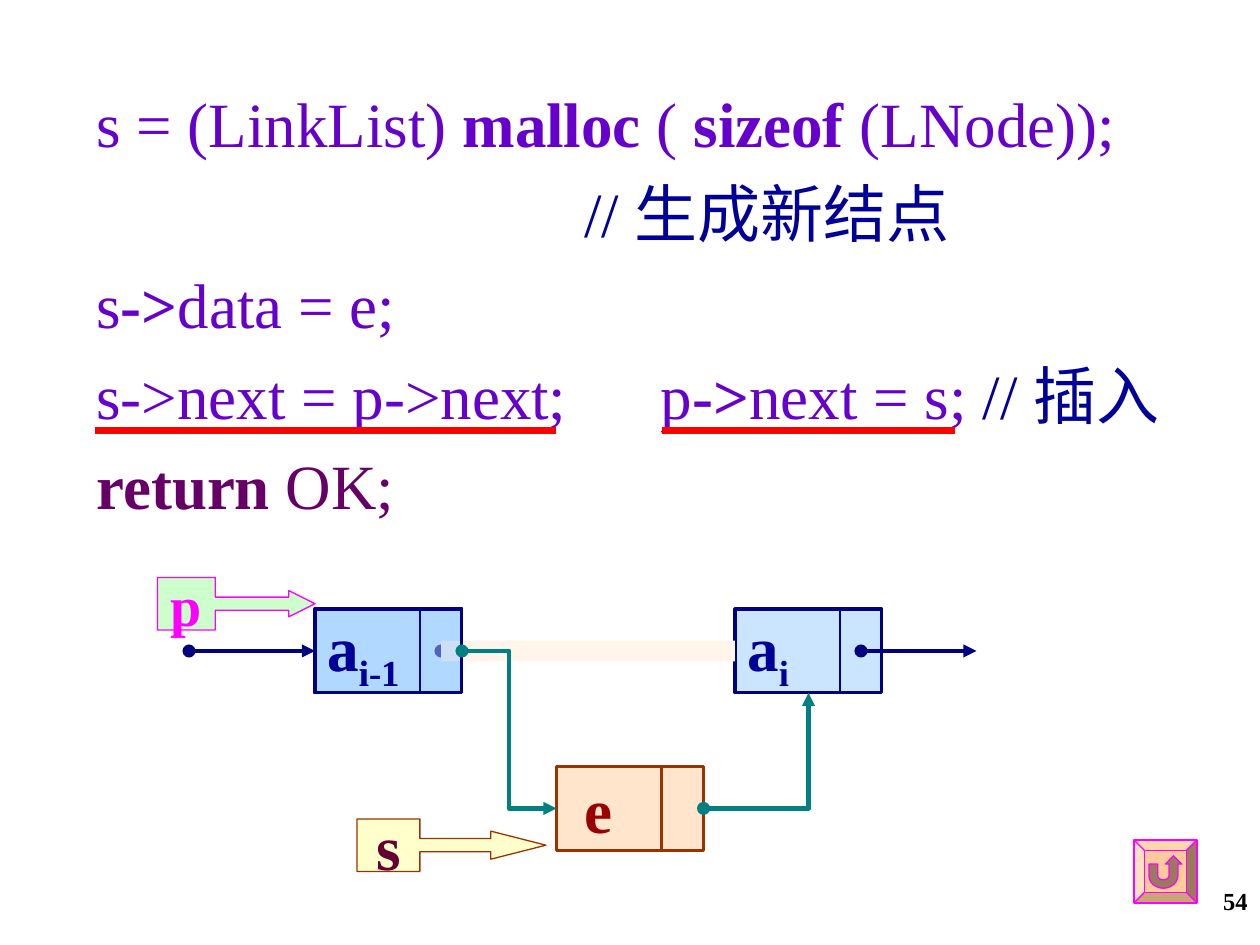
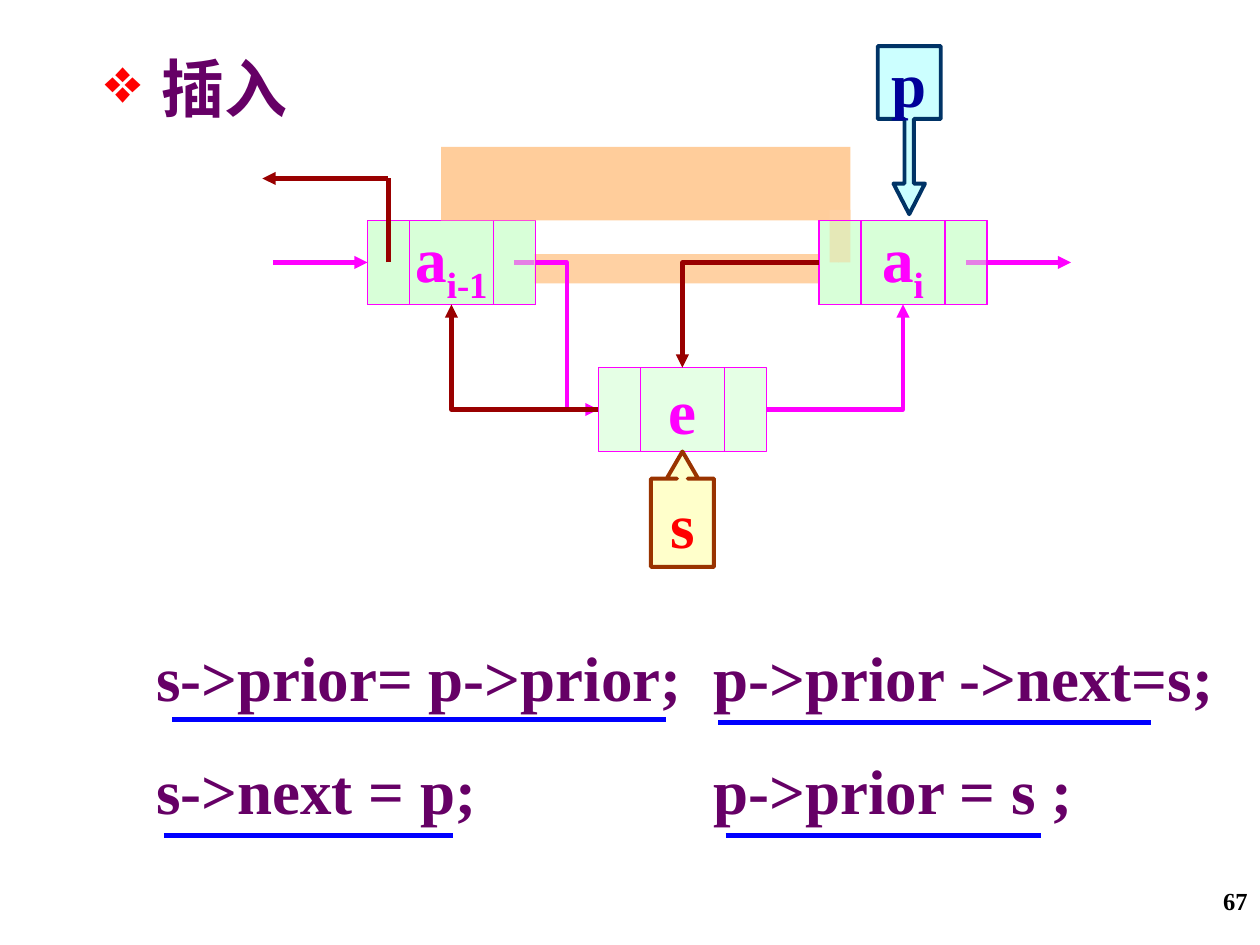
from math import cos, pi, sin

from lxml import etree
from pptx import Presentation, util as u
from pptx.dml.color import RGBColor
from pptx.enum import shapes, text
from pptx.oxml.ns import qn

FONT = "Times New Roman"
VIOLET, PLUM, NAVY, BLUE_INK = "6600CC", "660066", "000080", "000099"
MAGENTA, RUST, DARK_RED, TEAL, RED = "FF00FF", "993300", "990000", "008080", "FF0000"
PEACH, GREEN, SKY, YELLOW = "FFCC99", "CCFFCC", "99CCFF", "FFFF99"
TOP, LEFT, BOTTOM, RIGHT = range(4)
SITES = {TOP: (0.5, 0), LEFT: (0, 0.5), BOTTOM: (0.5, 1), RIGHT: (1, 0.5)}
SHAPE, WIRE = shapes.MSO_SHAPE, shapes.MSO_CONNECTOR


def g(n):
    """Length of n grid steps; the slide is 120 by 90 steps."""
    return u.Cm(n * 25.4 / 120)


def rgb(color):
    return RGBColor.from_string(color)


def sub(parent, tag, **attrs):
    return etree.SubElement(parent, qn(tag), attrs)


def end_point(end):
    """Position of an end given as (x, y) steps or as (shape, site)."""
    if isinstance(end[0], (int, float)):
        return g(end[0]), g(end[1])
    sp, site = end
    fx, fy = SITES[site]
    return u.Emu(int(sp.left + fx * sp.width)), u.Emu(int(sp.top + fy * sp.height))


class Deck:
    def __init__(self):
        self.prs = Presentation()
        self.prs.slide_width, self.prs.slide_height = g(120), g(90)

    def new_slide(self):
        self.s = self.prs.slides.add_slide(self.prs.slide_layouts[6])

    def page_number(self, number):
        p = self.text((92, 83.8, 28, 6.2), [[(number, "000000", True)]], 14)[0]
        p.alignment = text.PP_ALIGN.RIGHT

    def fill_frame(self, tf, paragraphs, size):
        """Fill a frame with paragraphs, each a list of (text, colour, bold, subscript)."""
        for i, runs in enumerate(paragraphs):
            p = tf.add_paragraph() if i else tf.paragraphs[0]
            p.alignment = text.PP_ALIGN.LEFT
            for words, color, bold, *subscript in runs:
                r = p.add_run()
                r.text = words
                r.font.name, r.font.size, r.font.bold = FONT, u.Pt(size), bold
                r.font.color.rgb = rgb(color)
                if subscript:
                    r._r.get_or_add_rPr().set("baseline", "-25000")
        return tf.paragraphs

    def text(self, box, paragraphs, size=36, wrap=True, spacing=None):
        tf = self.s.shapes.add_textbox(*map(g, box)).text_frame
        tf.word_wrap = wrap
        result = self.fill_frame(tf, paragraphs, size)
        for p in result:
            p.line_spacing = spacing
        return result

    def paint(self, sp, fill, line=None, width=0.75, alpha=None):
        sp.shadow.inherit = False
        sp.fill.solid()
        sp.fill.fore_color.rgb = rgb(fill)
        if alpha:
            color = sp._element.spPr.find(qn("a:solidFill"))[0]
            sub(color, "a:alpha", val=str(alpha * 1000))
        if line:
            sp.line.color.rgb = rgb(line)
            sp.line.width = u.Pt(width)
        else:
            sp.line.fill.background()
        return sp

    def shape(self, kind, box, fill, line=None, width=0.75, alpha=None, adj=()):
        sp = self.s.shapes.add_shape(kind, *map(g, box))
        for i, value in enumerate(adj):
            sp.adjustments[i] = value
        return self.paint(sp, fill, line, width, alpha)

    def label(self, sp, runs, size=36, centred=True, wrap=True):
        tf = sp.text_frame
        tf.word_wrap = wrap
        tf.vertical_anchor = text.MSO_ANCHOR.MIDDLE
        p = self.fill_frame(tf, [runs], size)[0]
        if centred:
            p.alignment = text.PP_ALIGN.CENTER

    def callout(self, kind, box, letter, color, size=36, **style):
        self.label(self.shape(kind, box, **style), [(letter, color, True)], size)

    def line(self, start, end, color, width, head=None, tail=None, bend=None):
        """Connector between two ends; bend names the preset of an elbow."""
        kind = WIRE.ELBOW if bend else WIRE.STRAIGHT
        c = self.s.shapes.add_connector(kind, *end_point(start), *end_point(end))
        for join, target in ((c.begin_connect, start), (c.end_connect, end)):
            if not isinstance(target[0], (int, float)):
                join(*target)
        c.line.color.rgb = rgb(color)
        c.line.width = u.Pt(width)
        spPr = c._element.spPr
        if bend:
            spPr.find(qn("a:prstGeom")).set("prst", bend)
        for tag, style in (("a:headEnd", head), ("a:tailEnd", tail)):
            if style:
                sub(spPr.find(qn("a:ln")), tag, type=style)
        sub(spPr, "a:effectLst")

    def arrow(self, start, end, color, head=None, bend=None):
        self.line(start, end, color, 2.5, head, "triangle", bend)

    def node(self, x, y, size, runs, fill, line, width, dividers=(), rule=None, centred=False):
        """List node; dividers are the offsets of its inner vertical rules."""
        sp = self.shape(SHAPE.RECTANGLE, (x, y, size, 8), fill, line, width, 50)
        self.label(sp, runs, centred=centred, wrap=False)
        for dx in dividers:
            self.line((x + dx, y), (x + dx, y + 8), *(rule or (line, width)))
        return sp

    def return_button(self, x, y):
        self.shape(SHAPE.BEVEL, (x, y, 6, 6), PEACH, MAGENTA, adj=[0.167])
        cx, cy, top = x + 2.8, y + 3.4, y + 2.3
        turn = [pi * i / 12 for i in range(13)]
        inner = [(cx - 0.54 * cos(t), cy + 0.4 * sin(t)) for t in turn]
        outer = [(cx + 1.38 * cos(t), cy + 1.2 * sin(t)) for t in turn]
        points = [(cx - 1.38, top), (cx - 0.54, top), *inner, (cx + 0.54, top),
                  (cx + 0.2, top), (cx + 0.96, top - 0.8), (cx + 1.76, top),
                  (cx + 1.38, top), *outer]
        points = [(g(px), g(py)) for px, py in points]
        builder = self.s.shapes.build_freeform(*points[0])
        builder.add_line_segments(points[1:])
        self.paint(builder.convert_to_shape(), "997A5C", MAGENTA)


def add_tab(p, position):
    tabs = sub(p._p.get_or_add_pPr(), "a:tabLst")
    sub(tabs, "a:tab", pos=str(u.Cm(position)), algn="l")


def indexed(index, color):
    return [("a", color, True), (index, color, True, True)]


def singly_linked_insert(d):
    d.new_slide()
    code = d.text((8, 6, 106, 44.4), [
        [("s = (LinkList) ", VIOLET, False), ("malloc ", VIOLET, True), ("( ", VIOLET, False),
         ("sizeof ", VIOLET, True), ("(LNode));", VIOLET, False)],
        [("// 生成新结点", BLUE_INK, False)],
        [("s", VIOLET, False), ("->", VIOLET, True), ("data = e;", VIOLET, False)],
        [("s->next = p->next;\tp", VIOLET, False), ("->", VIOLET, True),
         ("next = s;", VIOLET, False), (" // 插入", BLUE_INK, False)],
        [("return", PLUM, True), (" OK;", PLUM, False)],
    ], spacing=1.2)
    code[1]._p.get_or_add_pPr().set("marL", str(u.Cm(9.83)))
    add_tab(code[3], 11.38)

    blue = dict(fill=SKY, line=NAVY, width=1.75, rule=(BLUE_INK, 0.75))
    new = d.node(53, 73, 14, [("e", DARK_RED, True)], PEACH, RUST, 2, [10])
    new.text_frame.margin_left = u.Cm(0.57)
    before = d.node(30, 58, 14, indexed("i-1", BLUE_INK), **blue)
    d.arrow((18, 62), (before, LEFT), NAVY, "oval")
    after = d.node(70, 58, 14, indexed("i", BLUE_INK), dividers=[10], **blue)
    d.arrow((42, 62), (after, LEFT), NAVY, "oval")
    d.arrow((82, 62), (93, 62), NAVY, "oval")
    d.shape(SHAPE.RECTANGLE, (42, 61, 28, 2), "FFF5EB")
    before = d.node(30, 58, 14, indexed("i-1", BLUE_INK), dividers=[10], **blue)
    d.arrow((before, RIGHT), (new, LEFT), TEAL, "oval", "bentConnector3")
    d.arrow((new, RIGHT), (after, BOTTOM), TEAL, "oval", "bentConnector2")

    d.callout(SHAPE.RIGHT_ARROW_CALLOUT, (34, 78, 18, 5), "s", "660033", fill=YELLOW,
              line=RUST, alpha=50, adj=[0.25, 0.267, 1.05, 0.333])
    d.callout(SHAPE.RIGHT_ARROW_CALLOUT, (15, 55, 15, 5), "p", MAGENTA, 32, fill=GREEN,
              line=MAGENTA, adj=[0.25, 0.25, 0.5, 0.367])
    for x1, x2 in ((9, 53), (63, 91)):
        d.line((x1, 41), (x2, 41), RED, 4.5)
    d.return_button(108, 80)
    d.page_number("54")


def doubly_linked_insert(d):
    d.new_slide()
    green = dict(size=16, fill=GREEN, line=MAGENTA, width=0.75, centred=True)
    before = d.node(35, 21, runs=indexed("i-1", MAGENTA), **green)
    d.arrow((26, 25), (before, LEFT), MAGENTA)
    after = d.node(78, 21, runs=indexed("i", MAGENTA), **green)
    d.arrow((49, 25), (after, LEFT), MAGENTA)
    d.arrow((92, 25), (102, 25), MAGENTA)
    d.line((80, 25), (80, 17), DARK_RED, 2.5)
    d.arrow((43, 17), (before, TOP), DARK_RED)
    new = d.node(57, 35, runs=[("e", MAGENTA, True)], dividers=[4, 12], **green)

    code = d.text((13.7, 56.6, 103.2, 22.8), [
        [("s->prior= p->prior;\tp->prior ->next=s;", PLUM, True)],
        [("s->next = p;\tp->prior = s ;", PLUM, True)],
    ], wrap=False, spacing=1.5)
    for p in code:
        add_tab(p, 11.23)
    d.callout(SHAPE.DOWN_ARROW_CALLOUT, (83.6, 4.4, 6, 16), "p", BLUE_INK, fill="CCFFFF",
              line="003366", width=2.25, adj=[0.15, 0.25, 0.486, 0.433])
    d.callout(SHAPE.UP_ARROW_CALLOUT, (62, 43, 6, 11), "s", RED, fill=YELLOW,
              line=RUST, width=2.25, alpha=50, adj=[0.167, 0.25, 0.431, 1.121])
    for x1, x2, y in ((16.4, 63.4, 68.5), (68.4, 109.6, 68.8),
                      (15.6, 43.1, 79.6), (69.1, 99.1, 79.6)):
        d.line((x1, y), (x2, y), "0000FF", 3)

    d.shape(SHAPE.RECTANGLE, (50.9, 24.2, 27.1, 2.8), "FFD1A3")
    before = d.node(35, 21, runs=indexed("i-1", MAGENTA), dividers=[4, 12], **green)
    d.arrow((new, RIGHT), (after, BOTTOM), MAGENTA, bend="bentConnector2")
    d.arrow((before, RIGHT), (new, LEFT), MAGENTA, bend="bentConnector3")
    d.shape(SHAPE.RECTANGLE, (42, 14, 39, 7), "FFCD9B")
    d.shape(SHAPE.RECTANGLE, (79, 20, 2, 5), "FFD1A3")
    after = d.node(78, 21, runs=indexed("i", MAGENTA), dividers=[4, 12], **green)
    d.arrow((after, LEFT), (new, TOP), DARK_RED, bend="bentConnector2")
    d.arrow((new, LEFT), (before, BOTTOM), DARK_RED, bend="bentConnector2")
    d.line((37, 25), (37, 17), DARK_RED, 2.5)
    d.arrow((37, 17), (25, 17), DARK_RED)

    heading = d.text((8.8, 4.1, 19.8, 8.4), [[("插入", PLUM, True)]], wrap=False)[0]
    pPr = heading._p.get_or_add_pPr()
    pPr.set("marL", str(u.Cm(1.14)))
    pPr.set("indent", str(u.Cm(-1.14)))
    sub(sub(pPr, "a:buClr"), "a:srgbClr", val=RED)
    sub(pPr, "a:buChar", char="❖")
    d.page_number("67")


def main():
    d = Deck()
    singly_linked_insert(d)
    doubly_linked_insert(d)
    d.prs.save("out.pptx")


if __name__ == "__main__":
    main()
